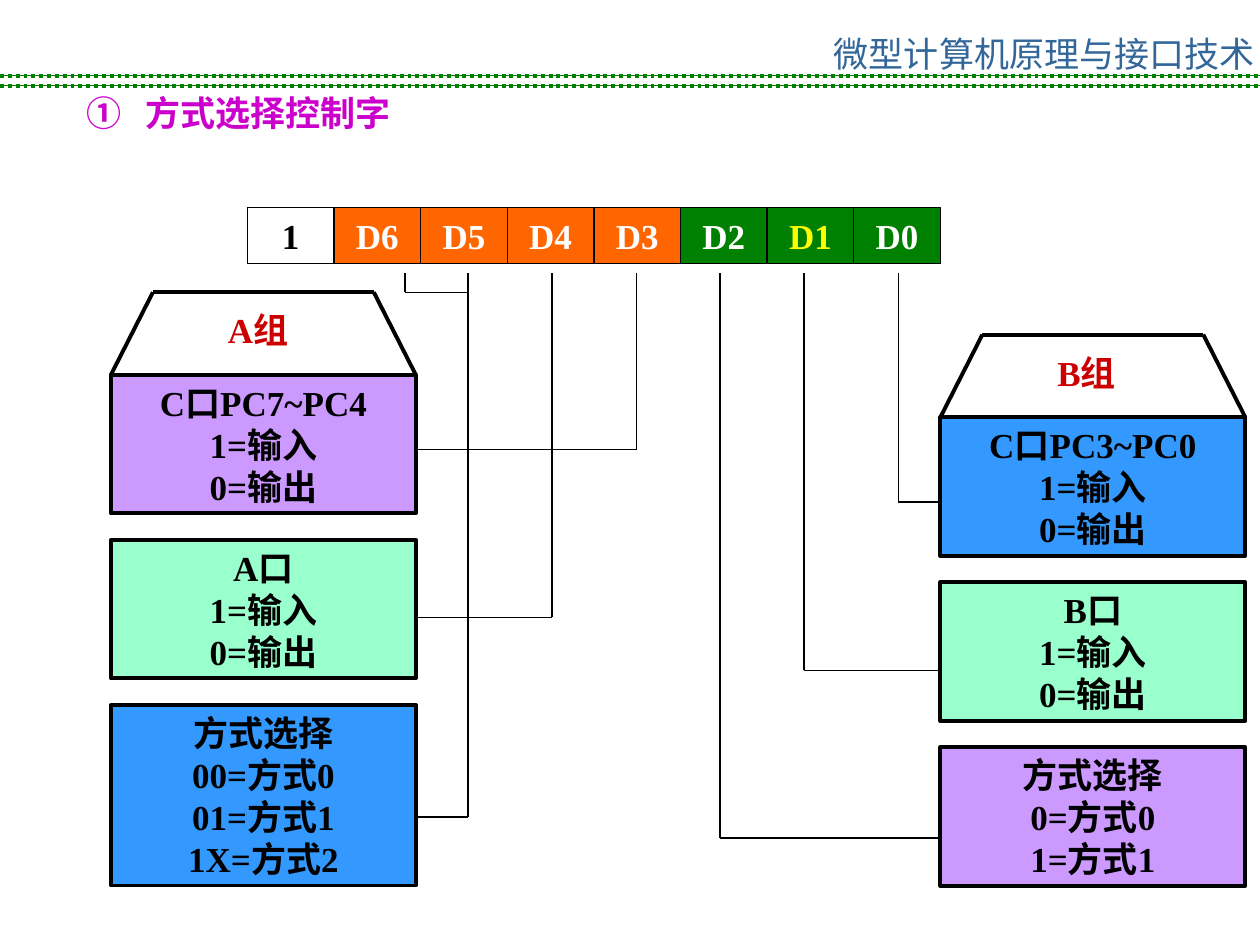
from pptx import Presentation
from pptx.dml.color import RGBColor
from pptx.enum.dml import MSO_LINE_DASH_STYLE as Dash
from pptx.enum.shapes import MSO_CONNECTOR as Conn, MSO_SHAPE as Shape
from pptx.enum.text import MSO_ANCHOR as Anchor, PP_ALIGN as Align
from pptx.oxml.ns import qn
from pptx.util import Pt
from lxml.etree import SubElement

COLORS = {
    "rule": "008000", "course": "336699", "heading": "CC00CC", "group": "CC0000",
    "black": "000000", "white": "FFFFFF", "yellow": "FFFF00", "orange": "FF6600",
    "green": "008000", "violet": "CC99FF", "mint": "99FFCC", "blue": "3399FF",
}
SERIF, SANS, CJK = "Times New Roman", "Arial", "Noto Sans CJK SC"

COURSE = "微型计算机原理与接口技术"
HEADING = "①\t方式选择控制字"
BITS = [
    ("1", None, "black"), ("D6", "orange", "white"), ("D5", "orange", "white"),
    ("D4", "orange", "white"), ("D3", "orange", "white"), ("D2", "green", "white"),
    ("D1", "green", "yellow"), ("D0", "green", "white"),
]
GROUPS = [
    {"name": "A组", "left": 63.4, "top": 214.2, "wire_side": "right", "blocks": [
        ("violet", ["C口PC7~PC4", "1=输入", "0=输出"], (363.6, 257)),
        ("mint", ["A口", "1=输入", "0=输出"], (315.4, 352.8)),
        ("blue", ["方式选择", "00=方式0", "01=方式1", "1X=方式2"], (267.4, 466.8)),
    ]},
    {"name": "B组", "left": 537.4, "top": 238.4, "wire_side": "left", "blocks": [
        ("blue", ["C口PC3~PC0", "1=输入", "0=输出"], (513.4, 286.8)),
        ("mint", ["B口", "1=输入", "0=输出"], (459.4, 383)),
        ("violet", ["方式选择", "0=方式0", "1=方式1"], (411.4, 478.8)),
    ]},
]
PAGE_W, PAGE_H = 720, 540
RULES_Y = [43.2, 48.96]
BIT_LEFT, BIT_TOP, BIT_W, BIT_H = 141.4, 118.8, 49.5, 31.7
BLOCK_W, BLOCK_GAP, LINE_H, PADDING = 174.2, 15.1, 24, 7.2
ROOF_H, ROOF_INSET = 47.2, 24
WIRE_TOP = 156.2
D6_X, D5_X, JUMPER_Y = 231.4, 267.4, 167

deck = Presentation()
deck.slide_width, deck.slide_height = Pt(PAGE_W), Pt(PAGE_H)
slide = deck.slides.add_slide(deck.slide_layouts[6])


def rgb(name):
    return RGBColor.from_string(COLORS[name])


def write(frame, lines, color="black", font=SERIF, bold=True, align=Align.LEFT,
          anchor=Anchor.TOP, tab=None, margin_right=7.2):
    frame.word_wrap = True
    frame.vertical_anchor = anchor
    frame.margin_right = Pt(margin_right)
    for index, line in enumerate(lines):
        para = frame.paragraphs[0] if index == 0 else frame.add_paragraph()
        para.alignment = align
        para.line_spacing = Pt(LINE_H)
        if tab:
            stops = SubElement(para._p.get_or_add_pPr(), qn("a:tabLst"))
            SubElement(stops, qn("a:tab"), pos=str(Pt(tab)), algn="l")
        run = para.add_run()
        run.text = line
        run.font.size, run.font.bold, run.font.name = Pt(20), bold, font
        run.font.color.rgb = rgb(color)
        SubElement(run._r.get_or_add_rPr(), qn("a:ea"), typeface=CJK)


def text_box(left, top, width, height, line, **style):
    box = slide.shapes.add_textbox(Pt(left), Pt(top), Pt(width), Pt(height))
    write(box.text_frame, [line], **style)


def panel(left, top, width, height, lines, fill, weight, color="black"):
    box = slide.shapes.add_shape(Shape.RECTANGLE, Pt(left), Pt(top), Pt(width), Pt(height))
    box.shadow.inherit = False
    if fill:
        box.fill.solid()
        box.fill.fore_color.rgb = rgb(fill)
    else:
        box.fill.background()
    box.line.color.rgb = rgb("black")
    box.line.width = Pt(weight)
    write(box.text_frame, lines, color=color, align=Align.CENTER, anchor=Anchor.MIDDLE)


def path_lines(points, weight=0.75, color="black", dash=None):
    for start, end in zip(points, points[1:]):
        line = slide.shapes.add_connector(Conn.STRAIGHT, *map(Pt, start + end))
        line.line.color.rgb = rgb(color)
        line.line.width = Pt(weight)
        if dash:
            line.line.dash_style = dash
        SubElement(line._element.spPr, qn("a:effectLst"))


for y in RULES_Y:
    path_lines([(0, y), (PAGE_W, y)], color="rule")
    path_lines([(0, y), (PAGE_W, y)], weight=2.25, color="rule", dash=Dash.ROUND_DOT)
text_box(460, 15.1, 260, 28, COURSE, color="course", font=CJK, bold=False,
         align=Align.RIGHT, margin_right=3)
text_box(42.5, 49, 414, 31.7, HEADING, color="heading", font=SANS, tab=33.5)

for index, (bit, fill, color) in enumerate(BITS):
    panel(BIT_LEFT + index * BIT_W, BIT_TOP, BIT_W, BIT_H, [bit], fill, 0.75, color)

for group in GROUPS:
    left, top = group["left"], group["top"]
    right, ridge = left + BLOCK_W, top - ROOF_H
    path_lines([(left, top), (left + ROOF_INSET, ridge),
                (right - ROOF_INSET, ridge), (right, top)], weight=2.25)
    text_box(left + 59.8, top - 41.2, 72, 31.7, group["name"], color="group")
    wire_end = right if group["wire_side"] == "right" else left
    for fill, lines, (wire_x, wire_y) in group["blocks"]:
        height = len(lines) * LINE_H + PADDING
        panel(left, top, BLOCK_W, height, lines, fill, 2.25)
        path_lines([(wire_x, WIRE_TOP), (wire_x, wire_y), (wire_end, wire_y)])
        top += height + BLOCK_GAP

path_lines([(D6_X, WIRE_TOP), (D6_X, JUMPER_Y), (D5_X, JUMPER_Y)])

deck.save("out.pptx")
